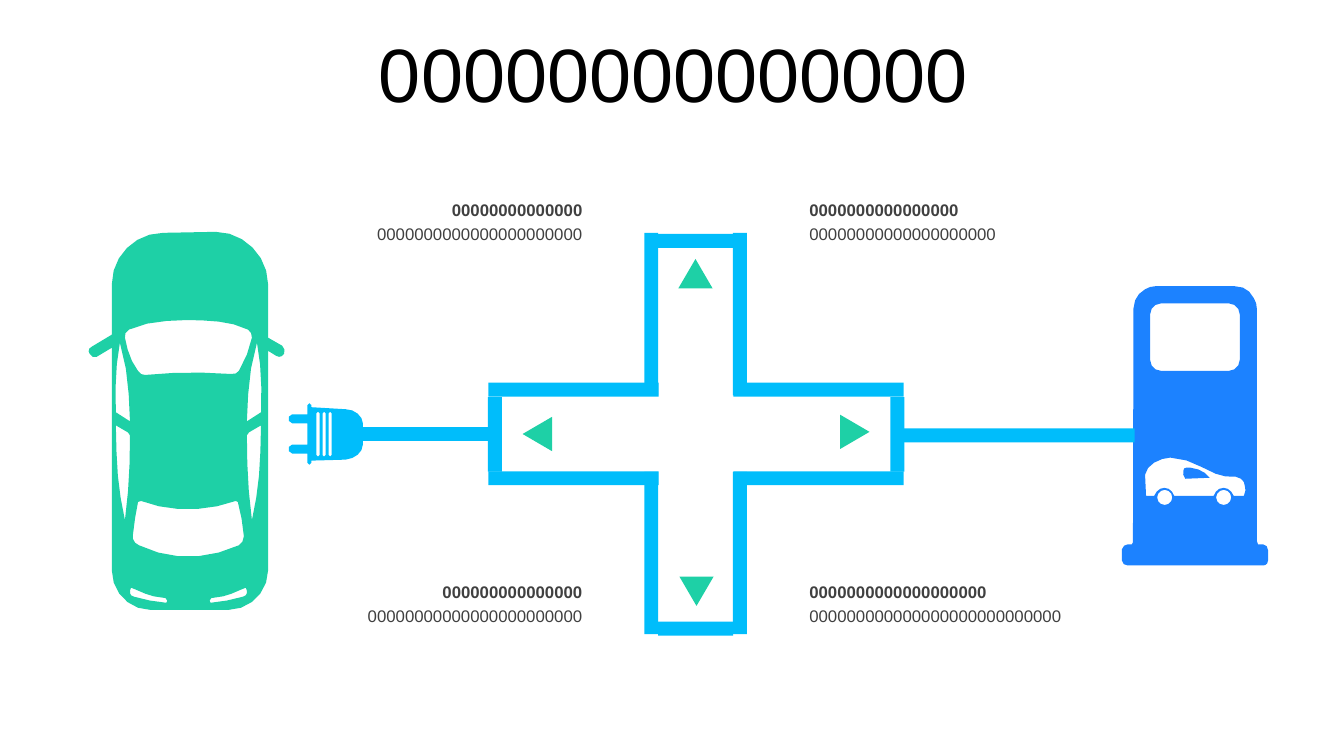
import math

import pptx
import pptx.dml.color
import pptx.enum.shapes
import pptx.enum.text
import pptx.util

Pt = pptx.util.Pt
SHAPES = pptx.enum.shapes.MSO_SHAPE
ALIGN = pptx.enum.text.PP_ALIGN
ANCHOR = pptx.enum.text.MSO_ANCHOR

BLACK, GREY = "000000", "404040"
BLUE, CYAN, GREEN = "1C82FF", "00BDFB", "1ED0A6"

OUTLINE_UNIT = 0.72  # points in one step of the outline coordinates
SHORTEST_EDGE = 1.5  # in outline steps
BAR = 10  # thickness of the road walls and cables
CAR_AXIS = 187

CAR_BODY = """M 162 231 L 214 230 C 242 230 266 254 266 282 L 266 335 L 280 343
C 282 345 283 348 282 351 C 280 354 277 355 274 353 L 266 348 L 266 566
C 266 587 248 605 227 605 L 149 605 C 128 605 111 587 111 566 L 111 345 L 96 354
C 94 355 90 354 89 351 C 87 349 88 345 91 344 L 111 332 L 111 282
C 111 254 134 231 162 231"""
WINDSHIELD = """M 186 317.5 C 165 318 145 319 128 327 C 125 329 123 332 124 335
C 126 347 130 359 137 368 C 139 371 141 372 144 372 C 172 369 201 369 229 371
C 233 372 235 370 237 368 C 243 358 248 346 250 335 C 250 331 249 329 246 327
C 228 318 207 318 186 317.5"""
REAR_WINDOW = """M 234 497 C 204 508 168 508 140 497 L 137 498 C 135 508 133 519 132 530
C 131 535 133 539 138 541 C 169 556 204 556 237 541 C 240 539 242 536 242 532
C 241 520 239 509 236 498 L 234 497"""
HEADLIGHT = """M 130 583 L 129 586 C 129 589 129 591 133 592 C 144 595 153 597 165 598
L 166 596 C 165 593 164 593 162 593 C 151 592 146 590 135 585 L 130 583"""
REAR_SIDE_WINDOW = """M 115 422 C 115 441 116 456 117 472 C 118 487 121 501 124 516
C 128 486 129 461 129 432 L 127 429 L 115 422"""
FRONT_SIDE_WINDOW = """M 119 340 C 115 360 114 384 115 409 L 129 418 C 128 390 127 366 119 340"""
STATION_BODY = """M 1146 284 L 1225 284 C 1234 284 1240 288 1244 296 C 1246 299 1247 303 1247 307
L 1247 537 L 1248 540 L 1253 540 C 1256 540 1258 543 1258 546 L 1258 556
C 1258 560 1255 561 1253 561 L 1119 561 C 1115 561 1114 559 1113 556 L 1113 545
C 1114 542 1116 540 1119 540 L 1123 540 L 1124 538 L 1124.5 306
C 1125 297 1129 291 1136 287 C 1139 285 1143 284 1146 284"""
SIGN_CAR = """M 1161 454 C 1156 454 1150 456 1145 459 C 1140 462 1137 466 1136 471
L 1137 492 L 1145 492 C 1147 487 1151 484 1155 484 C 1160 484 1163 487 1165 492
L 1204 492 C 1206 487 1209 484 1214 484 C 1218 484 1222 487 1224 492 L 1234 492
C 1236 488 1236 485 1235 482 C 1235 478 1232 474 1226 473 C 1219 473 1212 473 1206 470
C 1192 464 1178 454 1161 454"""
SIGN_CAR_WINDOW = """M 1181 464 C 1189 465 1196 468 1200 474 L 1199 475 L 1176 475
C 1174 472 1173 470 1174 467 C 1174 465 1175 464 1177 464 L 1181 464"""
PLUG_BODY = """M 307 400 L 309 402 L 309 404 L 343 406 C 352 406 360 413 360 420
L 360 441 C 360 449 352 455 343 456 L 309 457 L 309 459 L 307 461 L 305 459 L 305 402"""
PRONG = "M 290 411 L 305 411 L 305 420 L 290 420 C 285 420 285 411 290 411"


def color(text):
    return pptx.dml.color.RGBColor.from_string(text)


def curve_points(start, first, second, end):
    """Sample a cubic curve with only as many points as its bend needs."""
    bend = max(math.dist(first, [(2 * a + b) / 3 for a, b in zip(start, end)]),
               math.dist(second, [(a + 2 * b) / 3 for a, b in zip(start, end)]))
    steps = max(1, math.ceil(math.sqrt(1.5 * bend)))
    for step in range(1, steps + 1):
        t = step / steps
        weights = ((1 - t) ** 3, 3 * t * (1 - t) ** 2, 3 * t * t * (1 - t), t ** 3)
        yield tuple(sum(weight * value for weight, value in zip(weights, values))
                    for values in zip(start, first, second, end))


def trace(outline, shift_y=0):
    """Turn M, L and C commands into a list of corner points."""
    points, pending, command, pen = [], [], "", None
    for token in outline.split():
        if token in "MLC":
            command = token
            continue
        pending.append(float(token))
        if len(pending) < (6 if command == "C" else 2):
            continue
        pairs = list(zip(pending[::2], pending[1::2]))
        pending = []
        for point in curve_points(pen, *pairs) if command == "C" else pairs:
            if not points or math.dist(points[-1], point) >= SHORTEST_EDGE:
                points.append(point)
        pen = pairs[-1]
    return [(x, y + shift_y) for x, y in points]


def mirror(points, axis):
    return [(2 * axis - x, y) for x, y in points]


def rounded_box(left, top, width, height, radius):
    right, bottom, bend = left + width, top + height, radius * 0.45
    return trace(
        f"M {left + radius} {top} L {right - radius} {top} "
        f"C {right - bend} {top} {right} {top + bend} {right} {top + radius} "
        f"L {right} {bottom - radius} "
        f"C {right} {bottom - bend} {right - bend} {bottom} {right - radius} {bottom} "
        f"L {left + radius} {bottom} "
        f"C {left + bend} {bottom} {left} {bottom - bend} {left} {bottom - radius} "
        f"L {left} {top + radius} "
        f"C {left} {top + bend} {left + bend} {top} {left + radius} {top}")


def paint(shape, fill):
    shape.shadow.inherit = False
    shape.fill.solid()
    shape.fill.fore_color.rgb = color(fill)
    shape.line.fill.background()


def add_silhouette(slide, contours, fill):
    """Draw contours as one shape; inner contours become holes."""
    scaled = [[(Pt(x * OUTLINE_UNIT), Pt(y * OUTLINE_UNIT)) for x, y in contour]
              for contour in contours]
    builder = slide.shapes.build_freeform(*scaled[0][0])
    for index, contour in enumerate(scaled):
        if index:
            builder.move_to(*contour[0])
        builder.add_line_segments(contour[1:], close=True)
    paint(builder.convert_to_shape(), fill)


def add_preset(slide, kind, left, top, width, height, fill, rotation=0):
    shape = slide.shapes.add_shape(kind, Pt(left), Pt(top), Pt(width), Pt(height))
    shape.rotation = rotation
    paint(shape, fill)


def add_text(slide, text, left, top, width, height, size, text_color, align, bold=False):
    frame = slide.shapes.add_textbox(Pt(left), Pt(top), Pt(width), Pt(height)).text_frame
    frame.word_wrap = True
    frame.vertical_anchor = ANCHOR.MIDDLE if size > 50 else ANCHOR.TOP
    paragraph = frame.paragraphs[0]
    paragraph.alignment = align
    paragraph.line_spacing = 0.9 if size > 50 else 1.0
    run = paragraph.add_run()
    run.text = text
    run.font.name, run.font.size, run.font.bold = "Arial", Pt(size), bold
    run.font.color.rgb = color(text_color)


def add_crossroads(slide):
    def bar(left, top, width=BAR, height=BAR):
        add_preset(slide, SHAPES.RECTANGLE, left, top, width, height, CYAN)

    bar(645, 306, 165.6)
    bar(257.4, 305, 94.3)
    for top in (167, 444):
        bar(470, top, 53.6)
    for left in (348.5, 636):
        bar(left, 283.7, height=53.3)
    for left in (460.2, 523.5):
        for top in (166.4, 337):
            bar(left, top, height=116)
    for left in (348.8, 523.8):
        for top in (273.3, 336.6):
            bar(left, top, 121.7)
    arrows = [(496.8, 195.5), (610.6, 308.5), (497.5, 422.3), (383.8, 310)]
    for turn, (x, y) in enumerate(arrows):
        add_preset(slide, SHAPES.ISOSCELES_TRIANGLE, x - 12.25, y - 10.5, 24.5, 21,
                   GREEN, turn * 90)


def main():
    presentation = pptx.Presentation()
    presentation.slide_width, presentation.slide_height = Pt(960), Pt(540)
    slide = presentation.slides.add_slide(presentation.slide_layouts[6])

    add_text(slide, "00000000000000", 25.2, 22.3, 911.5, 66.2, 54, BLACK, ALIGN.CENTER)
    captions = [
        (200.2, 139, ALIGN.RIGHT, "00000000000000", "0000000000000000000000"),
        (200.2, 411.8, ALIGN.RIGHT, "000000000000000", "00000000000000000000000"),
        (571, 139, ALIGN.LEFT, "0000000000000000", "00000000000000000000"),
        (571, 411.8, ALIGN.LEFT, "0000000000000000000", "000000000000000000000000000"),
    ]
    for left, top, align, heading, detail in captions:
        add_text(slide, detail, left, top + 17.3, 223, 21.6, 12, GREY, align)
        add_text(slide, heading, left, top, 223, 21.6, 12, GREY, align, bold=True)

    wheels = [rounded_box(left, 486, 15, 15, 7.5) for left in (1148, 1206.5)]
    add_silhouette(slide, [trace(STATION_BODY), rounded_box(1141, 301, 89, 67, 11),
                           trace(SIGN_CAR), trace(SIGN_CAR_WINDOW)] + wheels, BLUE)
    add_crossroads(slide)
    slots = [rounded_box(left, 408.5, 3, 44.5, 1.5) for left in (314, 320, 326)]
    add_silhouette(slide, [trace(PLUG_BODY), trace(PRONG), trace(PRONG, 30)] + slots, CYAN)
    sides = [trace(part) for part in (HEADLIGHT, REAR_SIDE_WINDOW, FRONT_SIDE_WINDOW)]
    add_silhouette(slide, [trace(CAR_BODY), trace(WINDSHIELD), trace(REAR_WINDOW)] + sides
                   + [mirror(side, CAR_AXIS) for side in sides], GREEN)
    presentation.save("out.pptx")


if __name__ == "__main__":
    main()
